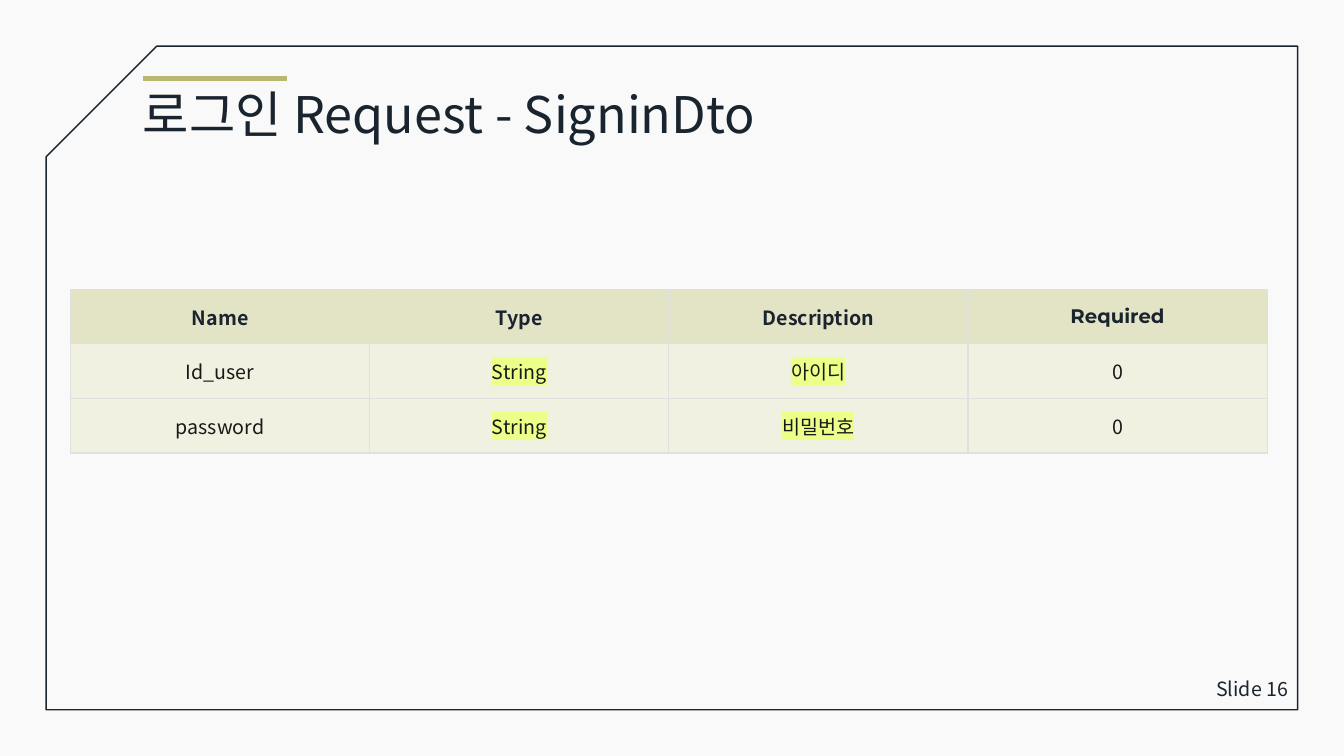
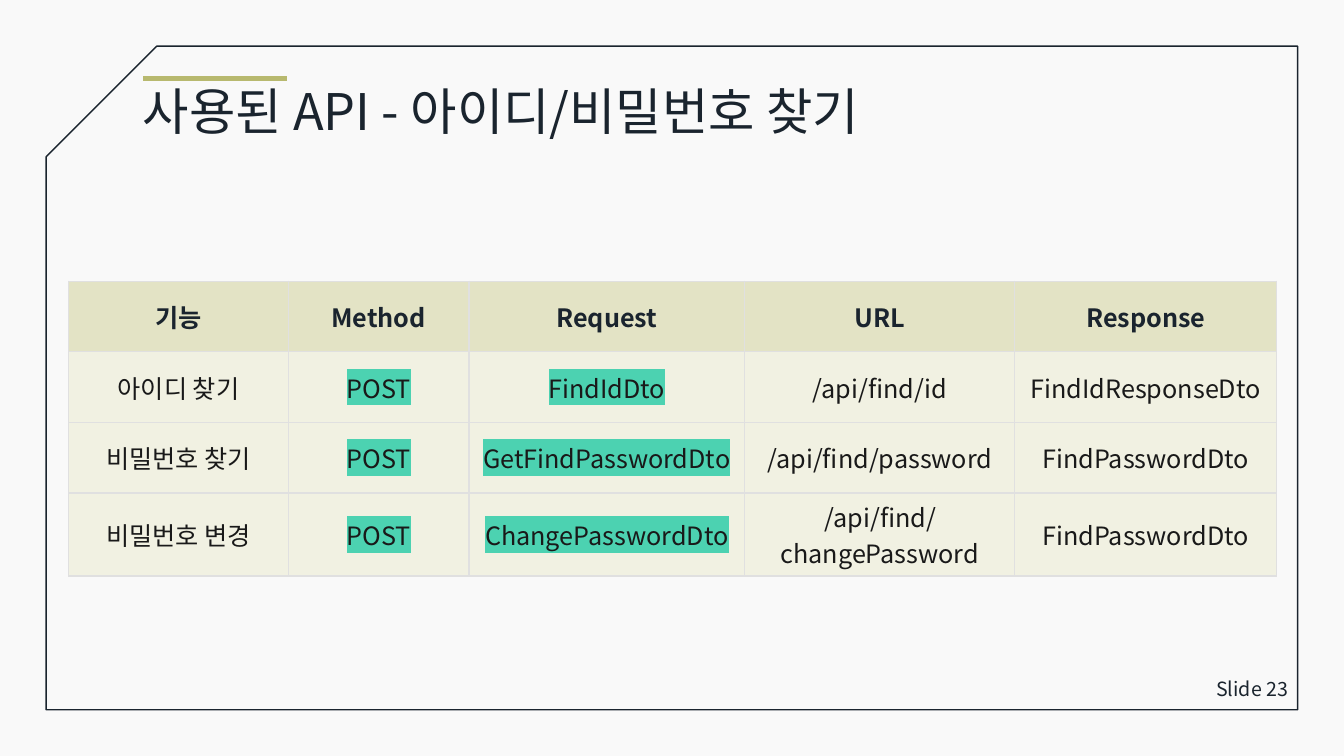
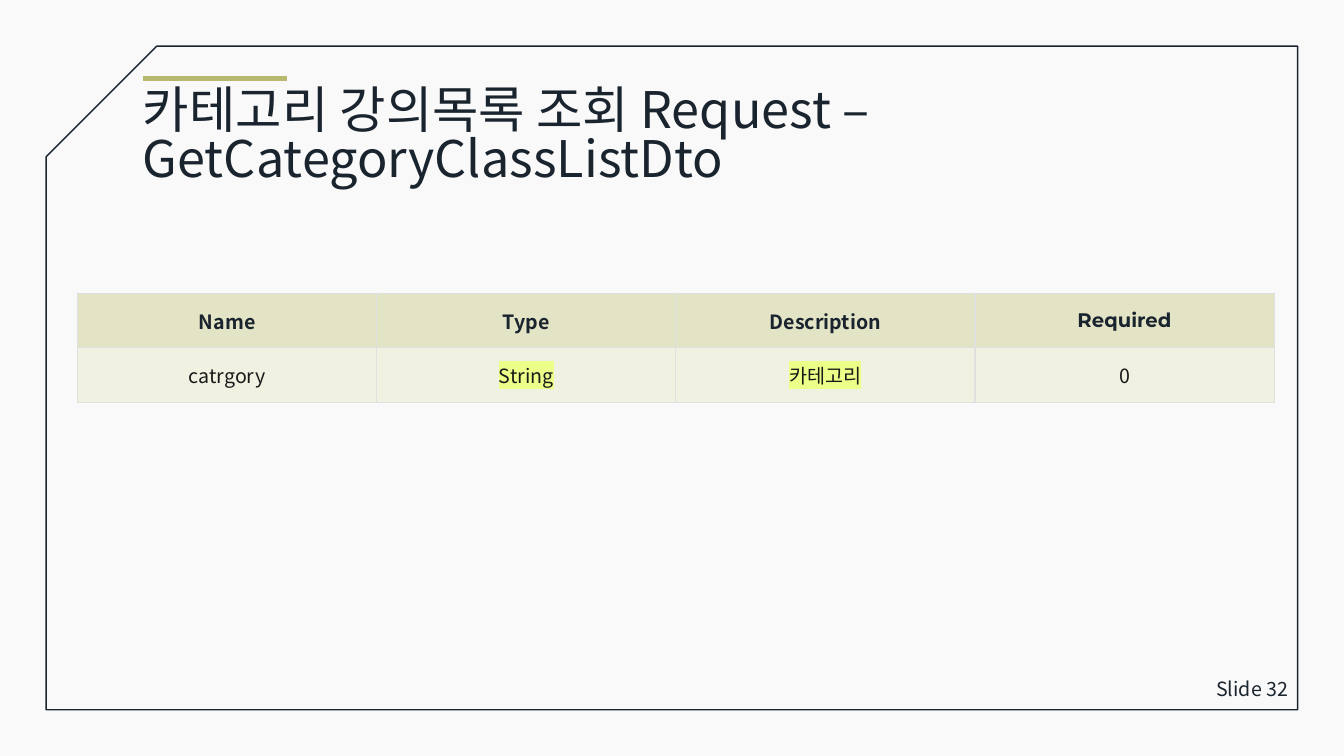
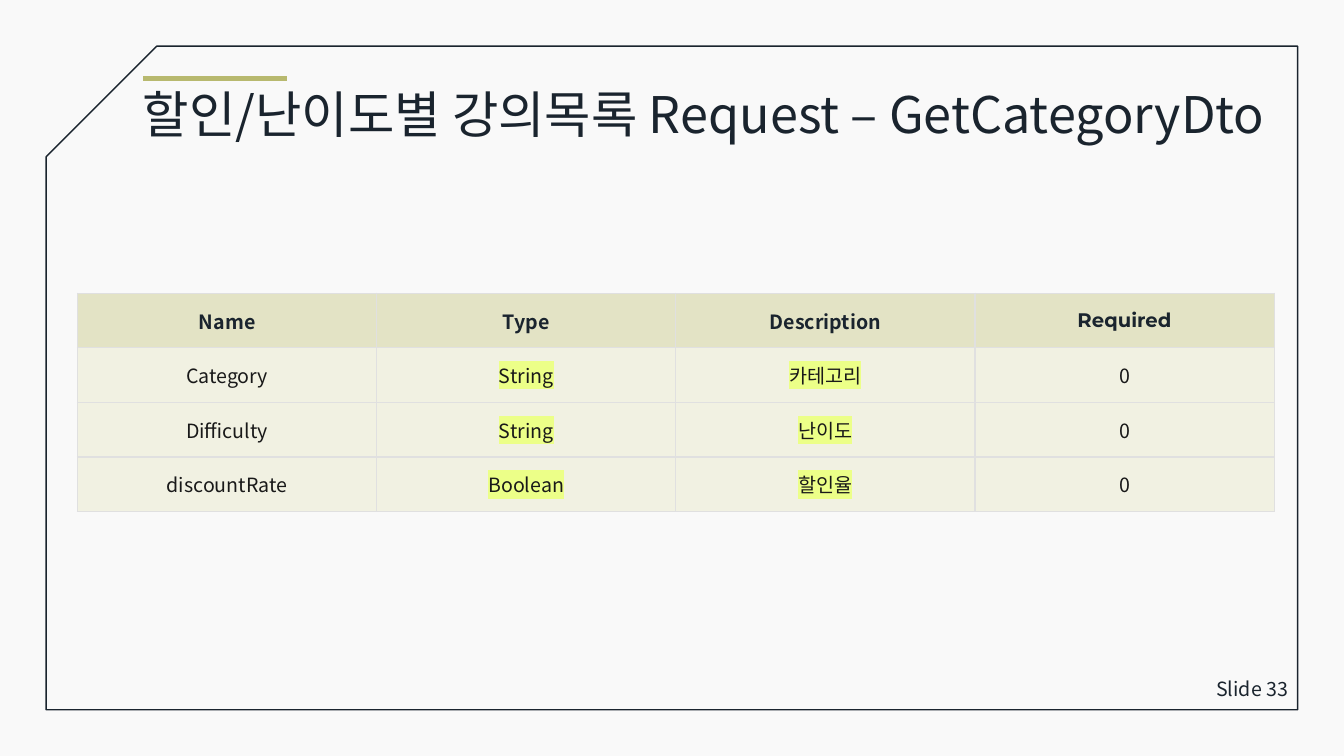
from dataclasses import dataclass

from lxml import etree
from pptx import Presentation
from pptx import util as u
from pptx.dml.color import RGBColor
from pptx.enum import shapes, text
from pptx.oxml.ns import qn


@dataclass(frozen=True)
class Theme:
    paper: str = "F9F9F9"
    ink: str = "1A242E"
    accent: str = "B8B96F"
    body: str = "191919"
    header_fill: str = "E3E3C5"
    row_fill: str = "F1F1E2"
    border: str = "E0E0E0"
    lime: str = "ECFF88"
    mint: str = "4CD2B1"
    font: str = "Noto Sans CJK KR"
    display_font: str = "Montserrat"
    title_size: int = 36
    large_size: int = 18
    small_size: int = 14


THEME = Theme()
FIELD_HEADER = ["Name", "Type", "Description", "Required"]
FIELD_COLS = [213.7] * 4
API_COLS = [157, 129, 197, 193, 187]
MARKED_COLS = (1, 2)


def rgb(value):
    return RGBColor.from_string(value)


def points(*values):
    return [u.Pt(v) for v in values]


def set_attrs(obj, values):
    for name, value in values.items():
        setattr(obj, name, value)


def write(tf, content, size, color, align, font=THEME.font, bold=False,
          highlight=None, spacing=None):
    p = tf.paragraphs[0]
    set_attrs(p, {"alignment": align, "line_spacing": spacing})
    r = p.add_run()
    r.text = content
    set_attrs(r.font, {"name": font, "size": u.Pt(size), "bold": bold})
    r.font.color.rgb = rgb(color)
    latin = r.font._element.find(qn("a:latin"))
    ea = etree.Element(qn("a:ea"), typeface=THEME.font)
    latin.addnext(ea)
    if highlight:
        mark = etree.Element(qn("a:highlight"))
        etree.SubElement(mark, qn("a:srgbClr"), val=highlight)
        latin.addprevious(mark)


def add_text(slide, box, content, size, align, anchor, fit, spacing=None):
    tf = slide.shapes.add_textbox(*points(*box)).text_frame
    set_attrs(tf, {"word_wrap": True, "vertical_anchor": anchor, "auto_size": fit})
    write(tf, content, size, THEME.ink, align, spacing=spacing)


def add_frame(slide):
    sp = slide.shapes.add_shape(shapes.MSO_SHAPE.SNIP_1_RECTANGLE,
                                *points(33, 33, 894, 474))
    sp.fill.background()
    sp.line.color.rgb = rgb(THEME.ink)
    sp.line.width = u.Pt(1)
    sp.shadow.inherit = False
    sp._element.spPr.find(qn("a:xfrm")).set("flipH", "1")


def add_accent(slide):
    line = slide.shapes.add_connector(shapes.MSO_CONNECTOR.STRAIGHT,
                                      *points(102.2, 56.2, 205.2, 56.2))
    line.line.color.rgb = rgb(THEME.accent)
    line.line.width = u.Pt(4)
    etree.SubElement(line._element.spPr, qn("a:effectLst"))


def add_page(prs, number, title, top=60.5, height=82):
    slide = prs.slides.add_slide(prs.slide_layouts[6])
    add_frame(slide)
    add_accent(slide)
    add_text(slide, (833, 477.4, 94.3, 29.5), f"Slide {number}", THEME.small_size,
             text.PP_ALIGN.RIGHT, text.MSO_ANCHOR.MIDDLE, text.MSO_AUTO_SIZE.NONE)
    add_text(slide, (95, top, 832, height), title, THEME.title_size,
             text.PP_ALIGN.LEFT, text.MSO_ANCHOR.TOP,
             text.MSO_AUTO_SIZE.TEXT_TO_FIT_SHAPE, spacing=0.9)
    return slide


def style_cell(cell, fill):
    cell.vertical_anchor = text.MSO_ANCHOR.MIDDLE
    cell.fill.solid()
    cell.fill.fore_color.rgb = rgb(fill)
    tc_pr = cell._tc.get_or_add_tcPr()
    for i, side in enumerate(("lnL", "lnR", "lnT", "lnB")):
        ln = etree.Element(qn(f"a:{side}"), w=str(u.Pt(1)))
        solid = etree.SubElement(ln, qn("a:solidFill"))
        etree.SubElement(solid, qn("a:srgbClr"), val=THEME.border)
        tc_pr.insert(i, ln)


def add_grid(slide, left, top, cols, row_height, rows, size, highlight):
    table = slide.shapes.add_table(
        len(rows), len(cols),
        *points(left, top, sum(cols), row_height * len(rows))).table
    set_attrs(table, {"first_row": False, "horz_banding": False})
    for col, width in zip(table.columns, cols):
        col.width = u.Pt(width)
    for i, values in enumerate(rows):
        table.rows[i].height = u.Pt(row_height)
        header = i == 0
        for j, value in enumerate(values):
            cell = table.cell(i, j)
            style_cell(cell, THEME.header_fill if header else THEME.row_fill)
            write(cell.text_frame, value, size,
                  THEME.ink if header else THEME.body, text.PP_ALIGN.CENTER,
                  font=THEME.display_font if value == "Required" else THEME.font,
                  bold=header,
                  highlight=highlight if j in MARKED_COLS and not header else None)


def add_fields(slide, left, top, fields):
    rows = [FIELD_HEADER] + [[*field, "0"] for field in fields]
    add_grid(slide, left, top, FIELD_COLS, 39, rows, THEME.small_size, THEME.lime)


def main():
    prs = Presentation()
    set_attrs(prs, {"slide_width": u.Pt(960), "slide_height": u.Pt(540)})
    background = prs.slide_master.background.fill
    background.solid()
    background.fore_color.rgb = rgb(THEME.paper)

    slide = add_page(prs, 16, "로그인 Request - SigninDto", height=50.4)
    add_fields(slide, 50.4, 206.6, [
        ("Id_user", "String", "아이디"),
        ("password", "String", "비밀번호"),
    ])

    slide = add_page(prs, 23, "사용된 API - 아이디/비밀번호 찾기", top=58.3, height=95)
    add_grid(slide, 49, 200.9, API_COLS, 50.4, [
        ["기능", "Method", "Request", "URL", "Response"],
        ["아이디 찾기", "POST", "FindIdDto", "/api/find/id", "FindIdResponseDto"],
        ["비밀번호 찾기", "POST", "GetFindPasswordDto", "/api/find/password",
         "FindPasswordDto"],
        ["비밀번호 변경", "POST", "ChangePasswordDto", "/api/find/changePassword",
         "FindPasswordDto"],
    ], THEME.large_size, THEME.mint)

    slide = add_page(prs, 32, "카테고리 강의목록 조회 Request – GetCategoryClassListDto")
    add_fields(slide, 55.4, 209.5, [("catrgory", "String", "카테고리")])

    slide = add_page(prs, 33, "할인/난이도별 강의목록 Request – GetCategoryDto")
    add_fields(slide, 55.4, 209.5, [
        ("Category", "String", "카테고리"),
        ("Difficulty", "String", "난이도"),
        ("discountRate", "Boolean", "할인율"),
    ])

    prs.save("out.pptx")


if __name__ == "__main__":
    main()
